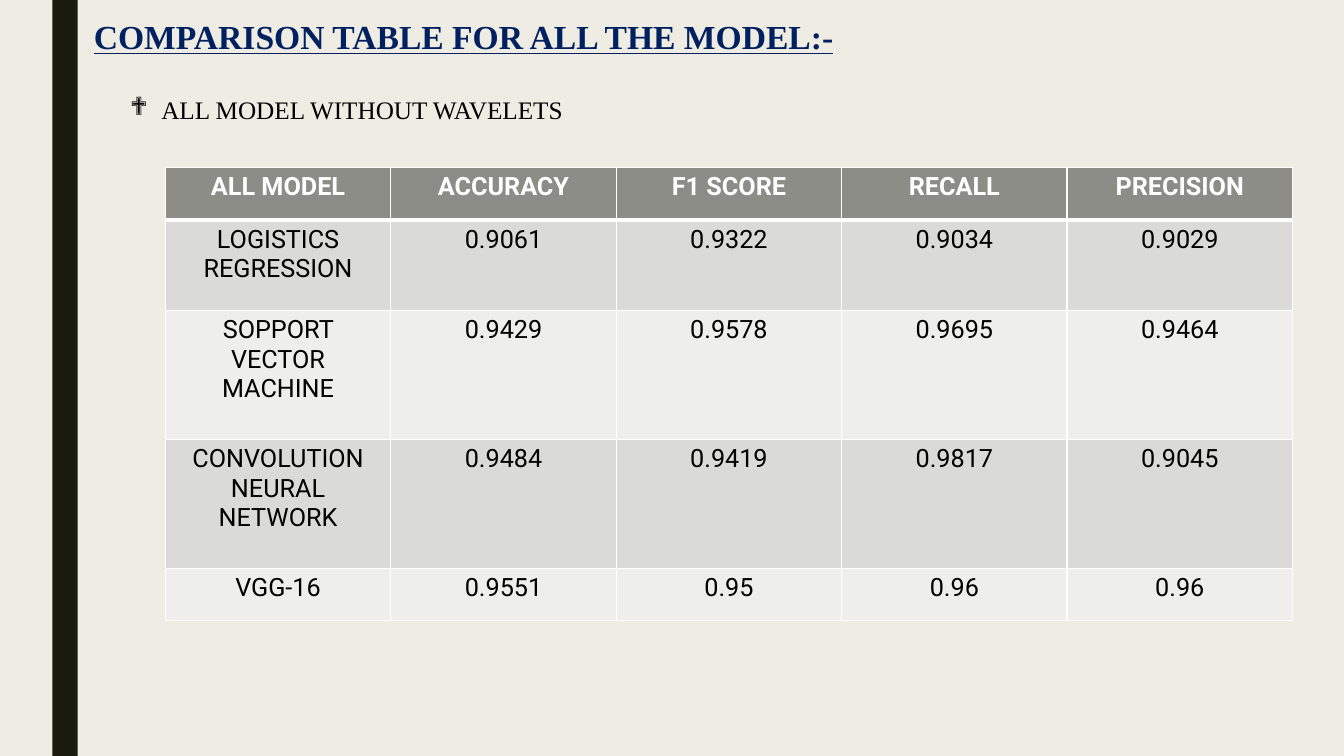
from lxml.etree import SubElement
from pptx import Presentation
from pptx.dml.color import RGBColor
from pptx.enum.shapes import MSO_SHAPE
from pptx.enum.text import MSO_ANCHOR, MSO_AUTO_SIZE, PP_ALIGN
from pptx.oxml import parse_xml
from pptx.oxml.ns import nsdecls, qn
from pptx.util import Inches, Pt

HUES = {"page": "EFEDE3", "bar": "191B0E", "title": "002060", "head": "8C8D86",
        "odd": "DADBD9", "even": "EEEEED", "white": "FFFFFF", "black": "000000"}
ROWS = [
    ("ALL MODEL", "ACCURACY", "F1 SCORE", "RECALL", "PRECISION"),
    ("LOGISTICS REGRESSION", "0.9061", "0.9322", "0.9034", "0.9029"),
    ("SOPPORT VECTOR MACHINE", "0.9429", "0.9578", "0.9695", "0.9464"),
    ("CONVOLUTION NEURAL NETWORK", "0.9484", "0.9419", "0.9817", "0.9045"),
    ("VGG-16", "0.9551", "0.95", "0.96", "0.96"),
]
HIGH = [0.52, 0.9, 1.28, 1.28, 0.52]
WIDE = 2.236


def hue(name):
    return RGBColor.from_string(HUES[name])


def write(frame, text, color, align, **form):
    """Put one formatted paragraph in a text frame and return it."""
    para = frame.paragraphs[0]
    para.alignment = align
    para.space_before = Pt(0)
    run = para.add_run()
    run.text = text
    run.font.color.rgb = hue(color)
    for key, value in form.items():
        setattr(run.font, key, value)
    return para


deck = Presentation()
deck.slide_width, deck.slide_height = Inches(13.33), Inches(7.5)
slide = deck.slides.add_slide(deck.slide_layouts[1])
slide.background.fill.solid()
slide.background.fill.fore_color.rgb = hue("page")

bar = slide.shapes.add_shape(MSO_SHAPE.RECTANGLE, Inches(0.52), 0,
                             Inches(0.25), deck.slide_height)
bar.shadow.inherit = False
bar.fill.solid()
bar.fill.fore_color.rgb = hue("bar")
bar.line.fill.background()

# Title and bullet
title, body = slide.shapes.title, slide.placeholders[1]
for shape, box in ((title, (0.83, 0.11, 11.67, 1.21)),
                   (body, (1.19, 0.89, 5.48, 0.4))):
    shape.left, shape.top, shape.width, shape.height = map(Inches, box)
    frame = shape.text_frame
    frame.word_wrap = True
    frame.auto_size = MSO_AUTO_SIZE.NONE
    frame.vertical_anchor = MSO_ANCHOR.TOP

write(title.text_frame, "COMPARISON TABLE FOR ALL THE MODEL:-", "title",
      PP_ALIGN.LEFT, name="Times New Roman", size=Pt(24), bold=True,
      underline=True)
item = write(body.text_frame, "ALL MODEL WITHOUT WAVELETS", "black",
             PP_ALIGN.LEFT, name="Times New Roman", size=Pt(18))
props = item._p.get_or_add_pPr()
props.set("marL", str(Inches(0.31)))
props.set("indent", str(-Inches(0.31)))
SubElement(props, qn("a:buFont"), typeface="Wingdings")
SubElement(props, qn("a:buChar"), char="❖")

# Score table
table = slide.shapes.add_table(
    len(ROWS), len(ROWS[0]), Inches(1.64), Inches(1.66),
    Inches(WIDE * len(ROWS[0])), Inches(sum(HIGH))).table
for col in table.columns:
    col.width = Inches(WIDE)

for r, texts in enumerate(ROWS):
    table.rows[r].height = Inches(HIGH[r])
    head = r == 0
    fill = "head" if head else "odd" if r % 2 else "even"
    edges = {"L": 1, "R": 1, "T": 3 if r == 1 else 1, "B": 3 if head else 1}
    for c, text in enumerate(texts):
        cell = table.cell(r, c)
        cell.fill.solid()
        cell.fill.fore_color.rgb = hue(fill)
        write(cell.text_frame, text, "white" if head else "black",
              PP_ALIGN.CENTER, name="Roboto", size=Pt(18), bold=head)
        for n, (side, width) in enumerate(edges.items()):
            cell._tc.get_or_add_tcPr().insert(n, parse_xml(
                f'<a:ln{side} {nsdecls("a")} w="{Pt(width)}"><a:solidFill>'
                f'<a:srgbClr val="{HUES["white"]}"/></a:solidFill></a:ln{side}>'))

deck.save("out.pptx")
